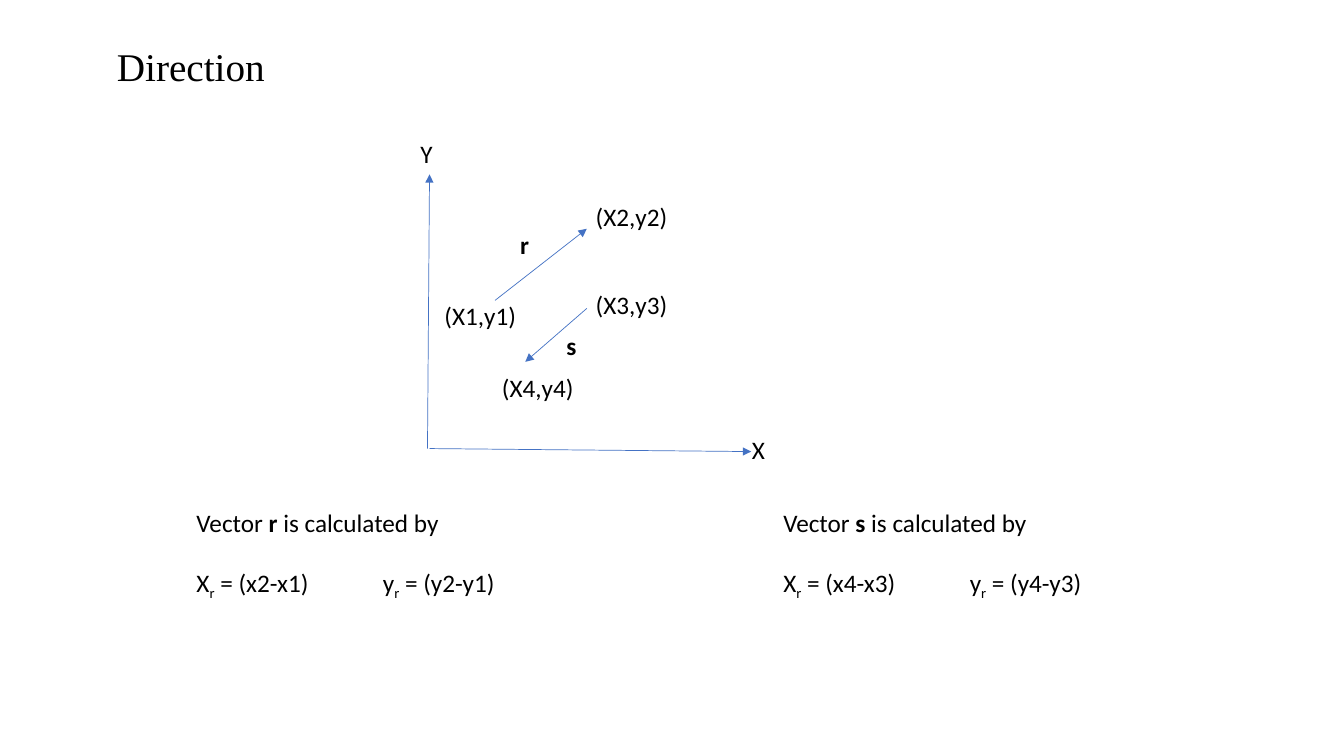
from lxml import etree
from pptx import Presentation
from pptx.dml.color import RGBColor
from pptx.enum import shapes, text
from pptx.oxml import ns
from pptx.util import Inches, Pt

BLACK = RGBColor(0, 0, 0)
BLUE = RGBColor(0x44, 0x72, 0xC4)
BODY_FONT, TITLE_FONT = "Calibri", "Times New Roman"

TITLE = "Direction"
ARROWS = {  # start x, start y, end x, end y
    "y axis": (4.24, 4.45, 4.26, 1.73),
    "x axis": (4.26, 4.45, 7.45, 4.48),
    "vector r": (4.91, 2.98, 5.82, 2.27),
    "vector s": (5.82, 3.06, 5.21, 3.59),
}
LABELS = [  # text, left, top, bold
    ("X", 7.36, 4.26, False),
    ("Y", 4.07, 1.32, False),
    ("r", 5.06, 2.23, True),
    ("s", 5.52, 3.23, True),
    ("(X1,y1)", 4.31, 2.93, False),
    ("(X2,y2)", 5.81, 1.95, False),
    ("(X3,y3)", 5.81, 2.82, False),
    ("(X4,y4)", 4.88, 3.64, False),
]
FORMULAS = [  # vector, left, end point, start point
    ("r", 1.85, 2, 1),
    ("s", 7.67, 4, 3),
]
FORMULA_TOP, FORMULA_TAB = 4.98, 1.85


def add_run(paragraph, words, size=18, font=BODY_FONT, bold=False, subscript=False):
    """Append one formatted run to a paragraph."""
    run = paragraph.add_run()
    run.text = words
    run.font.size, run.font.name, run.font.bold = Pt(size), font, bold
    run.font.color.rgb = BLACK
    if subscript:
        run.font._element.set("baseline", "-25000")


def add_text_box(slide, left, top, width, height):
    """Add a wrapping text box and return its text frame."""
    box = slide.shapes.add_textbox(*map(Inches, (left, top, width, height)))
    box.text_frame.word_wrap = True
    return box.text_frame


def add_arrow(slide, points):
    """Draw a thin line with a triangle at its end."""
    arrow = slide.shapes.add_connector(
        shapes.MSO_CONNECTOR.STRAIGHT, *map(Inches, points))
    arrow.line.color.rgb = BLUE
    arrow.line.width = Pt(0.5)
    line = arrow.line._get_or_add_ln()
    etree.SubElement(line, ns.qn("a:tailEnd"), type="triangle")
    etree.SubElement(arrow._element.spPr, ns.qn("a:effectLst"))


def add_formula(slide, vector, left, end, start):
    """Write how the two components of a vector are calculated."""
    frame = add_text_box(slide, left, FORMULA_TOP, 4.22, 1.31)
    heading = frame.paragraphs[0]
    add_run(heading, "Vector ")
    add_run(heading, vector + " ", bold=True)
    add_run(heading, "is calculated by")

    components = frame.add_paragraph()
    components.space_before = Pt(21.6)
    tabs = etree.SubElement(components._p.get_or_add_pPr(), ns.qn("a:tabLst"))
    etree.SubElement(tabs, ns.qn("a:tab"), pos=str(Inches(FORMULA_TAB)), algn="l")
    for symbol, axis, gap in (("X", "x", "\t"), ("y", "y", "")):
        add_run(components, symbol)
        add_run(components, "r", subscript=True)
        add_run(components, f" = ({axis}{end}-{axis}{start}){gap}")


presentation = Presentation()
presentation.slide_width, presentation.slide_height = Inches(13.33), Inches(7.5)
slide = presentation.slides.add_slide(presentation.slide_layouts.get_by_name("Title Only"))

title = slide.shapes.title
title.left, title.top, title.width, title.height = map(Inches, (1.06, -0.04, 11.5, 1.45))
title.text_frame.vertical_anchor = text.MSO_ANCHOR.MIDDLE
title_paragraph = title.text_frame.paragraphs[0]
title_paragraph.alignment = text.PP_ALIGN.LEFT
title_paragraph.line_spacing = 0.9
add_run(title_paragraph, TITLE, size=28, font=TITLE_FONT)

for points in ARROWS.values():
    add_arrow(slide, points)
for words, left, top, bold in LABELS:
    label = add_text_box(slide, left, top, 3, 0.4)
    add_run(label.paragraphs[0], words, bold=bold)
for formula in FORMULAS:
    add_formula(slide, *formula)

presentation.save("out.pptx")
